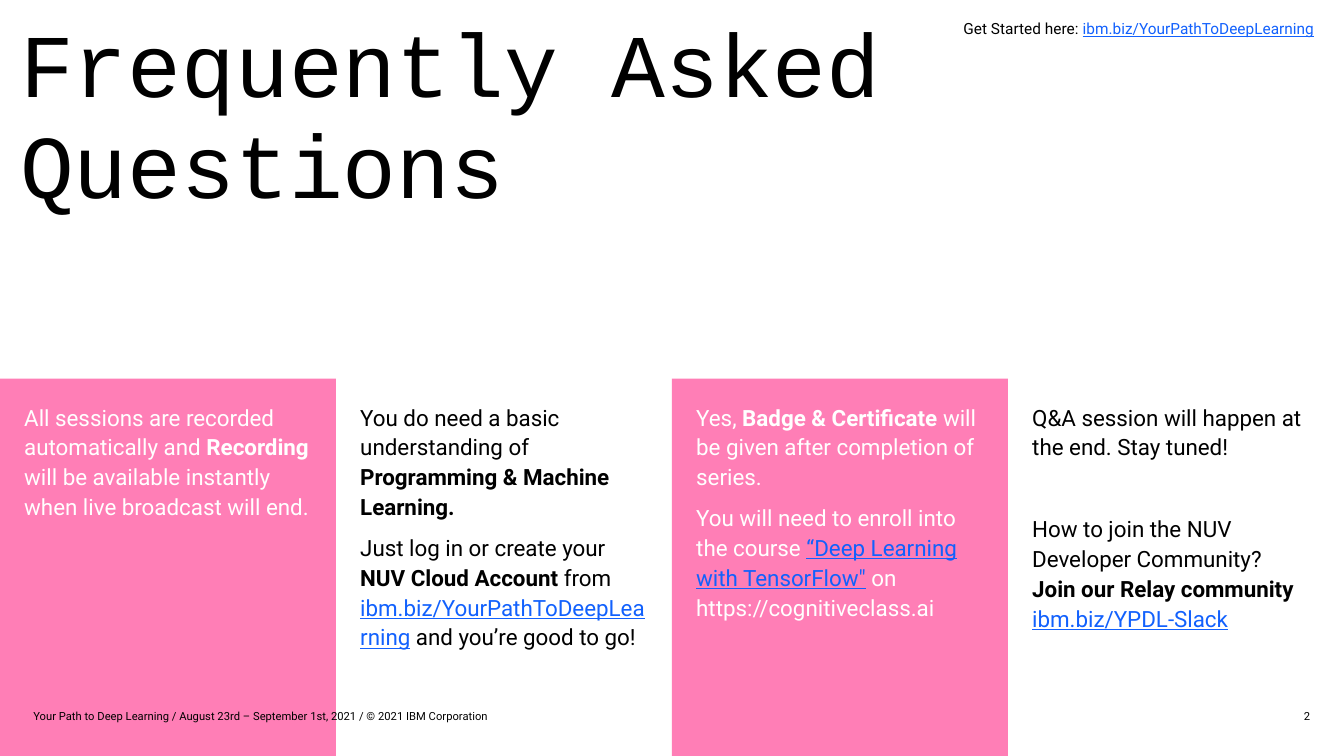
from pptx import Presentation
from pptx.dml.color import RGBColor
from pptx.enum import text
from pptx.oxml.ns import qn
from pptx.util import Cm, Pt
from lxml import etree

PINK = RGBColor(0xFF, 0x7E, 0xB6)
WHITE = RGBColor(0xFF, 0xFF, 0xFF)
BLACK = RGBColor(0x00, 0x00, 0x00)
LINK_BLUE = RGBColor(0x12, 0x61, 0xFD)

SLIDE_WIDTH, SLIDE_HEIGHT = Cm(33.87), Cm(19.05)
TITLE_HEIGHT = Cm(9.54)
PLAIN, BOLD, LINK = "plain", "bold", "link"

# Each answer is a list of paragraphs, each paragraph a list of (text, style).
ANSWERS = [
    [[("All sessions are recorded automatically and ", PLAIN),
      ("Recording", BOLD),
      (" will be available instantly when live broadcast will end.", PLAIN)]],
    [[("You do need a basic understanding of ", PLAIN),
      ("Programming & Machine Learning.", BOLD)],
     [("Just log in or create your ", PLAIN),
      ("NUV Cloud Account", BOLD),
      (" from ", PLAIN),
      ("ibm.biz/YourPathToDeepLearning", LINK),
      (" and you’re good to go!", PLAIN)]],
    [[("Yes, ", PLAIN),
      ("Badge & Certificate ", BOLD),
      ("will be given after completion of series.", PLAIN)],
     [("You will need to enroll into the course ", PLAIN),
      ("“Deep Learning with TensorFlow\"", LINK),
      (" on https://cognitiveclass.ai", PLAIN)]],
    [[("Q&A session will happen at the end. Stay tuned!", PLAIN)],
     [("How to join the NUV\nDeveloper Community?\n", PLAIN),
      ("Join our Relay community\n", BOLD),
      ("ibm.biz/YPDL-Slack", LINK)]],
]


def place(box, left, top, width, height):
    box.left, box.top, box.width, box.height = left, top, width, height


def set_frame(frame, margins, anchor=text.MSO_ANCHOR.TOP):
    """Margins run left, top, right, bottom, in centimetres."""
    frame.word_wrap = True
    frame.auto_size = text.MSO_AUTO_SIZE.NONE
    frame.vertical_anchor = anchor
    (frame.margin_left, frame.margin_top,
     frame.margin_right, frame.margin_bottom) = map(Cm, margins)


def remove_bullet(para):
    properties = para._p.get_or_add_pPr()
    properties.set("marL", "0")
    properties.set("indent", "0")
    etree.SubElement(properties, qn("a:buNone"))


def set_spacing(para, line, after):
    para.line_spacing = Pt(line)
    para.space_before = Pt(0)
    para.space_after = Pt(after)


def add_spans(para, spans, size, color):
    for words, style in spans:
        for number, line in enumerate(words.split("\n")):
            if number:
                para.add_line_break()
            if not line:
                continue
            span = para.add_run()
            span.text = line
            span.font.name = "Roboto"
            span.font.size = Pt(size)
            span.font.bold = style == BOLD
            span.font.underline = style == LINK
            span.font.color.rgb = LINK_BLUE if style == LINK else color


def fill_title(title):
    place(title, 0, 0, SLIDE_WIDTH, TITLE_HEIGHT)
    title.fill.solid()
    title.fill.fore_color.rgb = WHITE
    frame = title.text_frame
    frame.text = "Frequently Asked\vQuestions"
    set_frame(frame, (0.51, 0.38, 0.64, 0.64))
    para = frame.paragraphs[0]
    para.alignment = text.PP_ALIGN.LEFT
    set_spacing(para, 72, 24)
    for span in para.runs:
        span.font.name = "Courier New"
        span.font.size = Pt(64)
        span.font.color.rgb = BLACK


def fill_answer(box, column, paragraphs):
    width = SLIDE_WIDTH // len(ANSWERS)
    place(box, column * width, TITLE_HEIGHT, width, SLIDE_HEIGHT - TITLE_HEIGHT)
    pink = column % 2 == 0
    box.fill.solid()
    box.fill.fore_color.rgb = PINK if pink else WHITE
    frame = box.text_frame
    set_frame(frame, (0.61, 0.56, 0.64, 0.64))
    for number, spans in enumerate(paragraphs):
        para = frame.add_paragraph() if number else frame.paragraphs[0]
        remove_bullet(para)
        set_spacing(para, 21.3, 8)
        add_spans(para, spans, 16, WHITE if pink else BLACK)


def add_label(page, area, spans, size, margins=(0, 0, 0, 0),
              anchor=text.MSO_ANCHOR.MIDDLE, align=text.PP_ALIGN.LEFT):
    box = page.shapes.add_textbox(*map(Cm, area))
    set_frame(box.text_frame, margins, anchor)
    para = box.text_frame.paragraphs[0]
    para.alignment = align
    add_spans(para, spans, size, BLACK)
    return para


def main():
    deck = Presentation()
    deck.slide_width, deck.slide_height = SLIDE_WIDTH, SLIDE_HEIGHT
    page = deck.slides.add_slide(deck.slide_layouts.get_by_name("Comparison"))

    fill_title(page.shapes.title)
    bodies = list(page.placeholders)[1:]
    for column, (box, paragraphs) in enumerate(zip(bodies, ANSWERS)):
        fill_answer(box, column, paragraphs)
    # Sets the community question one line apart from the Q&A answer.
    bodies[-1].text_frame.paragraphs[1].space_before = Pt(29.3)

    add_label(page, (26.24, 17.73, 6.78, 0.61), [("2", PLAIN)], 8,
              align=text.PP_ALIGN.RIGHT)
    start = add_label(page, (24.03, 0.25, 9.83, 0.79),
                      [("Get Started here: ", PLAIN),
                       ("ibm.biz/YourPathToDeepLearning", LINK)], 11,
                      margins=(0.25, 0.13, 0.25, 0.13),
                      anchor=text.MSO_ANCHOR.TOP)
    set_spacing(start, 16, 6)
    add_label(page, (0.84, 17.73, 15.24, 0.61),
              [("Your Path to Deep Learning / August 23rd – September 1st, 2021"
                " / © 2021 IBM Corporation", PLAIN)], 8)

    deck.save("out.pptx")


if __name__ == "__main__":
    main()
